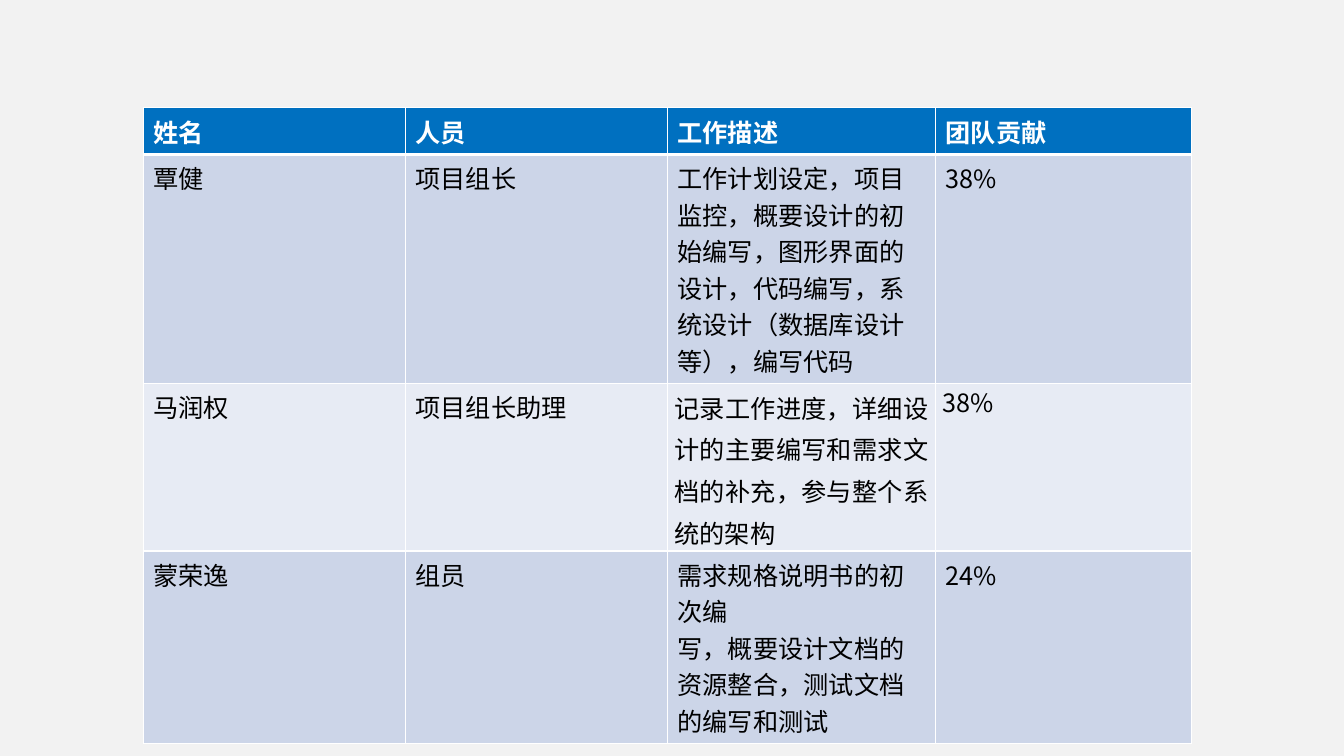
"""Build the slide that lists team members, their work and their contribution."""
from dataclasses import dataclass

from lxml import etree
from pptx import Presentation
from pptx.dml.color import RGBColor
from pptx.enum.text import PP_ALIGN
from pptx.oxml.ns import qn
from pptx.util import Inches, Pt

JUSTIFY = PP_ALIGN.JUSTIFY
FONT = "Noto Sans CJK SC"
COLORS = {
    "background": "F2F2F2",
    "header": "0070C0",
    "odd_row": "CCD5E8",
    "even_row": "E7EBF4",
    "border": "FFFFFF",
    "header_text": "FFFFFF",
    "text": "000000",
}
COLUMN_WIDTHS = (2.6, 2.6, 2.66, 2.54)


@dataclass(frozen=True)
class MemberRow:
    """One row of the table."""

    texts: tuple[str, str, str, str]
    height: float
    fill: str
    is_header: bool = False
    tight: bool = False


ROWS = (
    MemberRow(("姓名", "人员", "工作描述", "团队贡献"), 0.45, "header", is_header=True),
    MemberRow(
        ("覃健", "项目组长",
         "工作计划设定，项目监控，概要设计的初始编写，图形界面的设计，代码编写，系统设计（数据库设计等），编写代码",
         "38%"),
        2.27, "odd_row"),
    MemberRow(
        ("马润权", "项目组长助理",
         "记录工作进度，详细设计的主要编写和需求文档的补充，参与整个系统的架构", "38%"),
        1.66, "even_row", tight=True),
    MemberRow(
        ("蒙荣逸", "组员",
         "需求规格说明书的初次编\n写，概要设计文档的资源整合，测试文档的编写和测试", "24%"),
        1.91, "odd_row"),
)


def rgb(name: str) -> RGBColor:
    """Return the named colour."""
    return RGBColor.from_string(COLORS[name])


def add_borders(cell, top: int, bottom: int) -> None:
    """Give a cell white borders with the given top and bottom widths in points."""
    properties = cell._tc.get_or_add_tcPr()
    for side, width in (("L", 1), ("R", 1), ("T", top), ("B", bottom)):
        line = etree.SubElement(properties, qn(f"a:ln{side}"), w=str(Pt(width)))
        fill = etree.SubElement(line, qn("a:solidFill"))
        etree.SubElement(fill, qn("a:srgbClr"), val=COLORS["border"])


def format_text(cell, is_header: bool) -> None:
    """Set the font of every run in a cell."""
    for paragraph in cell.text_frame.paragraphs:
        for run in paragraph.runs:
            run.font.size = Pt(18)
            run.font.bold = is_header
            run.font.color.rgb = rgb("header_text" if is_header else "text")
            run.font.name = FONT
            etree.SubElement(run.font._element, qn("a:ea"), typeface=FONT)


def fill_row(table, index: int, member: MemberRow) -> None:
    """Write and format one table row."""
    table.rows[index].height = Inches(member.height)
    for column, text in enumerate(member.texts):
        cell = table.cell(index, column)
        add_borders(cell, top=3 if index == 1 else 1, bottom=3 if member.is_header else 1)
        cell.fill.solid()
        cell.fill.fore_color.rgb = rgb(member.fill)
        cell.text_frame.text = text
        format_text(cell, member.is_header)
        if member.tight and column >= 2:
            cell.margin_left = cell.margin_right = Inches(0.07)
            cell.margin_top = cell.margin_bottom = Inches(0)
        if member.tight and column == 2:
            description = cell.text_frame.paragraphs[0]
            description.alignment = JUSTIFY
            description.line_spacing = 1.15
            description.space_after = Pt(10)


def main() -> None:
    """Create and save the presentation."""
    presentation = Presentation()
    presentation.slide_width = Inches(13.33)
    presentation.slide_height = Inches(7.5)
    slide = presentation.slides.add_slide(presentation.slide_layouts[6])
    slide.background.fill.solid()
    slide.background.fill.fore_color.rgb = rgb("background")
    team_table = slide.shapes.add_table(
        len(ROWS), len(COLUMN_WIDTHS), Inches(1.42), Inches(1.07),
        Inches(sum(COLUMN_WIDTHS)), Inches(sum(row.height for row in ROWS)),
    ).table
    for column, width in zip(team_table.columns, COLUMN_WIDTHS):
        column.width = Inches(width)
    for index, member in enumerate(ROWS):
        fill_row(team_table, index, member)
    presentation.save("out.pptx")


if __name__ == "__main__":
    main()
